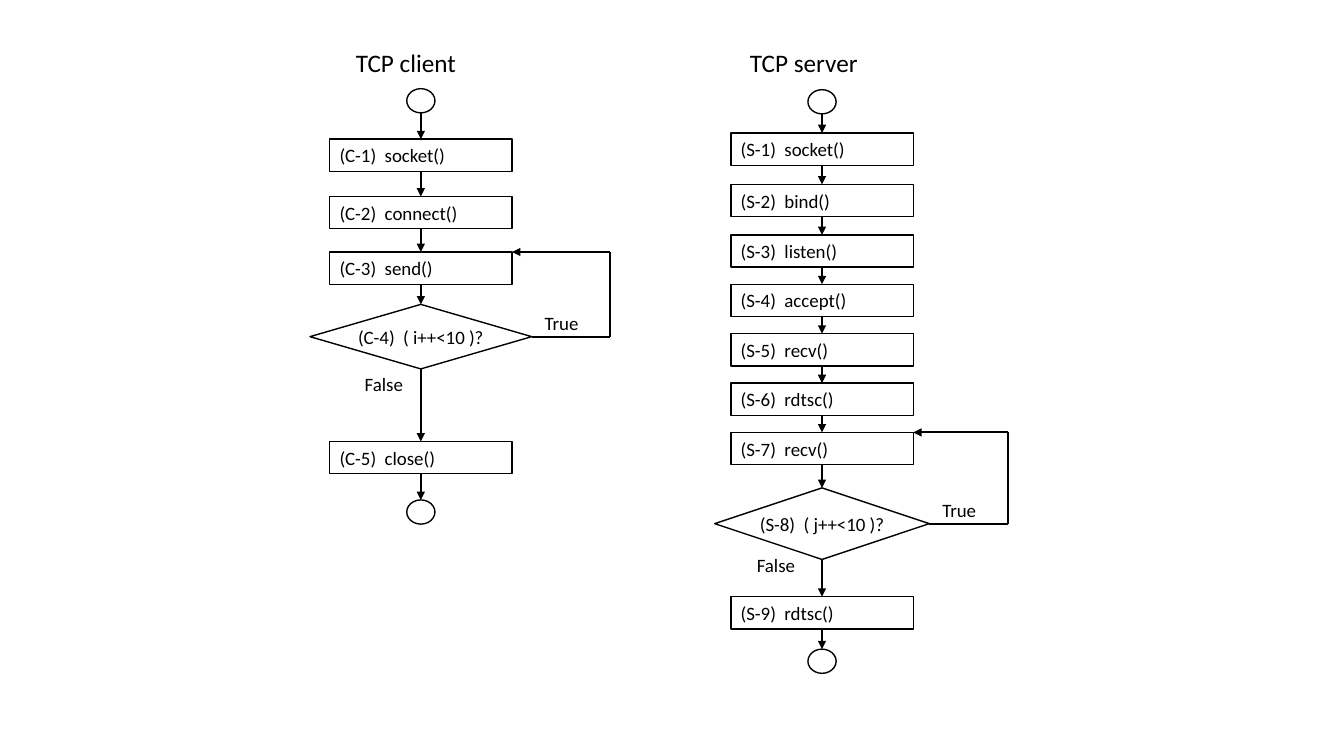
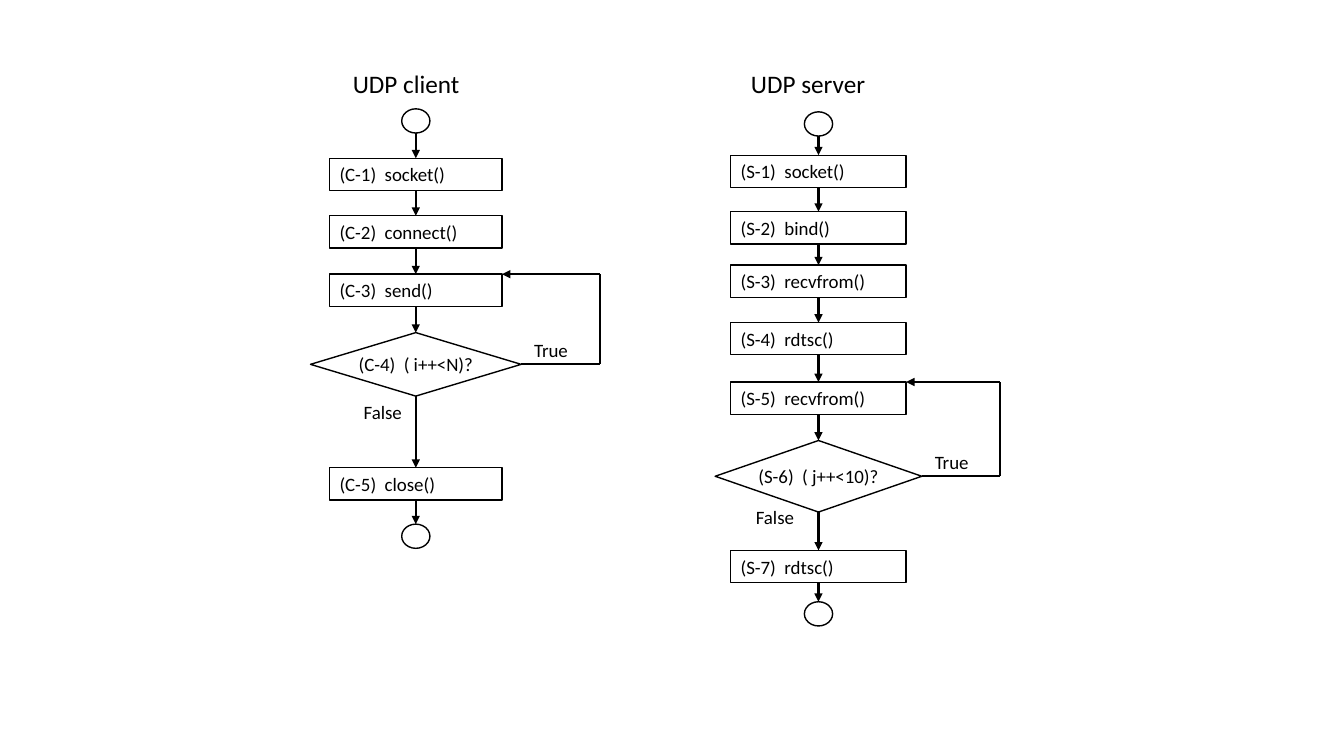
from dataclasses import dataclass

from lxml.etree import SubElement
from pptx import Presentation
from pptx.dml.color import RGBColor
from pptx.enum.shapes import MSO_CONNECTOR as CXN, MSO_SHAPE as SHAPE
from pptx.enum.text import MSO_ANCHOR as ANCHOR, MSO_AUTO_SIZE as AUTO, PP_ALIGN as ALIGN
from pptx.oxml.ns import qn
from pptx.util import Inches, Pt

BLACK = RGBColor(0, 0, 0)
WHITE = RGBColor(255, 255, 255)
FONT = "Calibri"
CELL = Inches(0.1)
COLS, ROWS = 133.33, 75
STEP_H, DOT_W, DOT_H = 3.2, 2.8, 2.4
LABEL_W, LABEL_H = 7, 3.3
LOOP_W = 7.8
COMPARISON_LAYOUT = 4
HEADING_IDS = (1, 3)


@dataclass
class Flow:
    """One flowchart: its box in grid cells, and row offsets within the box."""
    heading: str
    letter: str
    box: tuple
    indent: float
    start: float
    steps: list
    end: float
    decision: tuple
    false_at: tuple


def cells(*lengths):
    """Turn grid cells into slide units."""
    return [round(n * CELL) for n in lengths]


def write(sp, text, size=13.5, align=ALIGN.LEFT, anchor=ANCHOR.MIDDLE, wrap=True):
    """Put formatted text into a shape."""
    tf = sp.text_frame
    tf.word_wrap, tf.auto_size, tf.vertical_anchor = wrap, AUTO.NONE, anchor
    p = tf.paragraphs[0]
    p.alignment, p.space_before = align, Pt(0)
    r = p.add_run()
    r.text = text
    r.font.name, r.font.size, r.font.bold = FONT, Pt(size), False
    r.font.color.rgb = BLACK


def outline(g, kind, x, y, w, h, fill=WHITE):
    """Add a shape with a thin black outline."""
    sp = g.shapes.add_shape(kind, *cells(x, y, w, h))
    sp.shadow.inherit = False
    sp.line.color.rgb, sp.line.width = BLACK, Pt(1)
    if fill is None:
        sp.fill.background()
    else:
        sp.fill.solid()
        sp.fill.fore_color.rgb = fill
    return sp


def link(g, x1, y1, x2, y2, arrow=True):
    """Draw a straight line, with an arrowhead at its end if wanted."""
    c = g.shapes.add_connector(CXN.STRAIGHT, *cells(x1, y1, x2, y2))
    c.line.color.rgb, c.line.width = BLACK, Pt(1.5)
    sp_pr = c.element.spPr
    if arrow:
        SubElement(sp_pr.find(qn("a:ln")), qn("a:tailEnd"), type="triangle")
    SubElement(sp_pr, qn("a:effectLst"))


def label(g, text, x, y):
    """Name a branch of the decision."""
    tb = g.shapes.add_textbox(*cells(x, y, LABEL_W, LABEL_H))
    write(tb, text, anchor=ANCHOR.TOP)


def draw_decision(g, flow, text, axis, y, loop_y):
    """Draw the decision, its branch labels and the loop to the step before."""
    w, h = flow.decision
    left, _, width = flow.box
    right, mid = axis + w / 2, y + h / 2
    turn = right + LOOP_W
    sp = outline(g, SHAPE.DIAMOND, axis - w / 2, y, w, h)
    write(sp, text, align=ALIGN.CENTER, wrap=False)
    link(g, right, mid, turn, mid, arrow=False)
    link(g, turn, mid, turn, loop_y, arrow=False)
    link(g, turn, loop_y, left + width, loop_y)
    label(g, "True", right + 0.3, mid - 3)
    dx, dy = flow.false_at
    label(g, "False", left + dx, y + h + dy)


def draw_flow(s, heading, flow):
    """Draw a headed flowchart inside its box."""
    left, top, width = flow.box
    axis = left + width / 2
    heading.left, heading.top, heading.width, heading.height = cells(
        left + flow.indent, top, 16, 4)
    write(heading, flow.heading, size=18, anchor=ANCHOR.TOP)

    g = s.shapes.add_group_shape()
    dot_x = axis - DOT_W / 2
    outline(g, SHAPE.OVAL, dot_x, top + flow.start, DOT_W, DOT_H, fill=None)
    bottom, step_top = top + flow.start + DOT_H, top
    for n, (call, offset) in enumerate(flow.steps, 1):
        y = top + offset
        text = f"({flow.letter}-{n})  {call}"
        link(g, axis, bottom, axis, y)
        if call.endswith("?"):
            draw_decision(g, flow, text, axis, y, step_top)
            bottom = y + flow.decision[1]
        else:
            write(outline(g, SHAPE.RECTANGLE, left, y, width, STEP_H), text)
            bottom, step_top = y + STEP_H, y
    link(g, axis, bottom, axis, top + flow.end)
    outline(g, SHAPE.OVAL, dot_x, top + flow.end, DOT_W, DOT_H, fill=None)


def build_slide(prs, flows):
    """Add a slide with a client and a server flowchart side by side."""
    s = prs.slides.add_slide(prs.slide_layouts[COMPARISON_LAYOUT])
    headings = [s.placeholders[i] for i in HEADING_IDS]
    for ph in list(s.placeholders):
        if ph.placeholder_format.idx not in HEADING_IDS:
            ph.element.getparent().remove(ph.element)
    for heading, flow in zip(headings, flows):
        draw_flow(s, heading, flow)


TCP = [
    Flow("TCP client", "C", (32.7, 4.2, 18.1), 1.6, 4.6,
         [("socket()", 9.6), ("connect()", 15.3), ("send()", 20.8),
          ("( i++<10 )?", 26), ("close()", 39.6)],
         45.4, (22, 6.4), (2.5, -0.1)),
    Flow("TCP server", "S", (72.5, 4.2, 18.1), 0.9, 4.7,
         [("socket()", 9), ("bind()", 14.1), ("listen()", 19.1), ("accept()", 24),
          ("recv()", 28.9), ("rdtsc()", 33.8), ("recv()", 38.7),
          ("( j++<10 )?", 44.2), ("rdtsc()", 55)],
         60.2, (21.3, 7.1), (1.6, -1.1)),
]
UDP = [
    Flow("UDP client", "C", (32.7, 6.3, 17.1), 1.3, 4.5,
         [("socket()", 9.4), ("connect()", 15.1), ("send()", 20.9),
          ("( i++<N)?", 26.7), ("close()", 40.1)],
         45.7, (20.9, 6.3), (2.4, 0)),
    Flow("UDP server", "S", (72.5, 6.3, 17.4), 1, 4.8,
         [("socket()", 9.1), ("bind()", 14.7), ("recvfrom()", 20), ("rdtsc()", 25.7),
          ("recvfrom()", 31.6), ("( j++<10)?", 37.4), ("rdtsc()", 48.3)],
         53.4, (20.5, 7.1), (1.5, -1.1)),
]

prs = Presentation()
prs.slide_width, prs.slide_height = cells(COLS, ROWS)
for flows in (TCP, UDP):
    build_slide(prs, flows)
prs.save("out.pptx")
